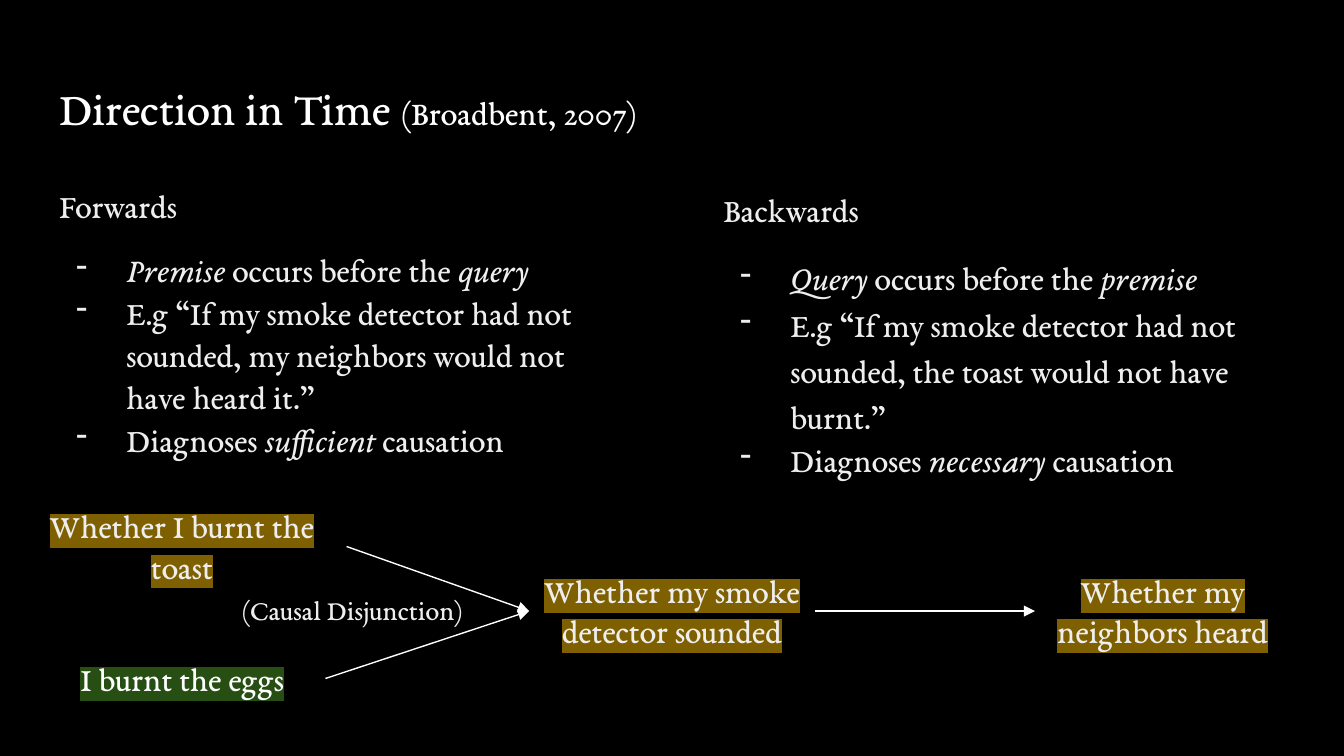
from lxml import etree
from pptx import Presentation
from pptx import util as u
from pptx.dml.color import RGBColor
from pptx.enum import shapes, text
from pptx.oxml import ns

FONT = "EB Garamond"
COLORS = {
    "background": "000000",
    "white": "FFFFFF",
    "body": "EEEEEE",
    "event": "7F6000",
    "alternative": "274E13",
}


def add_text_box(left, top, width, height):
    box = slide.shapes.add_textbox(u.Cm(left), u.Cm(top), u.Cm(width), u.Cm(height))
    frame = box.text_frame
    frame.word_wrap = True
    frame.margin_left = frame.margin_right = u.Cm(0.25)
    frame.margin_top = frame.margin_bottom = u.Cm(0.25)
    return box


def format_run(run, size, color):
    run.font.name = FONT
    run.font.size = u.Pt(size)
    run.font.color.rgb = RGBColor.from_string(COLORS[color])


presentation = Presentation()
presentation.slide_width = u.Cm(25.4)
presentation.slide_height = u.Cm(14.29)
slide = presentation.slides.add_slide(presentation.slide_layouts[6])
slide.background.fill.solid()
slide.background.fill.fore_color.rgb = RGBColor.from_string(COLORS["background"])

# Title
title = add_text_box(0.87, 1.24, 23.67, 1.6)
for words, size in [("Direction in Time ", 25.2), ("(Broadbent, 2007)", 18.2)]:
    run = title.text_frame.paragraphs[0].add_run()
    run.text = words
    format_run(run, size, "white")

# Two columns: left edge, then lines with their spacing; asterisks enclose italics
columns = [
    (0.87, [
        ("Forwards", 1.05),
        ("*Premise* occurs before the *query*", 1.05),
        ("E.g “If my smoke detector had not sounded, my neighbors would not have heard it.”", 1.05),
        ("Diagnoses *sufficient* causation", 1.05),
    ]),
    (13.42, [
        ("Backwards", 1.15),
        ("*Query* occurs before the *premise*", 1.15),
        ("E.g “If my smoke detector had not sounded, the toast would not have burnt.”", 1.15),
        ("Diagnoses *necessary* causation", 1.05),
    ]),
]
for left, lines in columns:
    frame = add_text_box(left, 3.2, 11.1, 6.1).text_frame
    for index, (line, spacing) in enumerate(lines):
        paragraph = frame.add_paragraph() if index else frame.paragraphs[0]
        paragraph.line_spacing = spacing
        for part_index, part in enumerate(line.split("*")):
            if part:
                run = paragraph.add_run()
                run.text = part
                format_run(run, 18, "body")
                run.font.italic = part_index % 2 == 1
        if index:
            paragraph.space_before = u.Pt(12 if index == 1 else 0)
            properties = paragraph._p.get_or_add_pPr()
            properties.set("marL", str(u.Cm(1.27)))
            properties.set("indent", str(u.Cm(-0.95)))
            bullet_color = etree.SubElement(properties, ns.qn("a:buClr"))
            etree.SubElement(bullet_color, ns.qn("a:srgbClr"), val=COLORS["body"])
            etree.SubElement(properties, ns.qn("a:buChar"), char="-")

# Highlighted events of the causal diagram
events = [
    ("eggs", "I burnt the eggs", (0.74, 12.19, 5.41, 1.27), "white", "alternative"),
    ("detector", "Whether my smoke detector sounded", (10, 10.52, 5.4, 2.06), "body", "event"),
    ("neighbors", "Whether my neighbors heard", (19.56, 10.52, 4.83, 2.06), "body", "event"),
    ("toast", "Whether I burnt the toast", (0.33, 9.3, 6.22, 2.06), "body", "event"),
]
boxes = {}
for name, words, position, color, highlight in events:
    box = boxes[name] = add_text_box(*position)
    box.text_frame.auto_size = text.MSO_AUTO_SIZE.SHAPE_TO_FIT_TEXT
    paragraph = box.text_frame.paragraphs[0]
    paragraph.text = words
    paragraph.alignment = text.PP_ALIGN.CENTER
    run = paragraph.runs[0]
    format_run(run, 18, color)
    marker = etree.Element(ns.qn("a:highlight"))
    etree.SubElement(marker, ns.qn("a:srgbClr"), val=COLORS[highlight])
    run._r.rPr.find(ns.qn("a:solidFill")).addnext(marker)

# Arrows from cause to effect
for cause, effect in [("eggs", "detector"), ("detector", "neighbors"), ("toast", "detector")]:
    arrow = slide.shapes.add_connector(shapes.MSO_CONNECTOR.STRAIGHT, 0, 0, 0, 0)
    arrow.begin_connect(boxes[cause], 3)
    arrow.end_connect(boxes[effect], 1)
    arrow.line.color.rgb = RGBColor.from_string(COLORS["white"])
    arrow.line.width = u.Pt(0.75)
    etree.SubElement(arrow.line._get_or_add_ln(), ns.qn("a:tailEnd"), type="triangle")
    etree.SubElement(arrow._element.spPr, ns.qn("a:effectLst"))

# Label between the two causes
label = add_text_box(4.32, 10.95, 6.45, 1.14)
label.text_frame.text = "(Causal Disjunction)"
format_run(label.text_frame.paragraphs[0].runs[0], 15, "body")

presentation.save("out.pptx")
